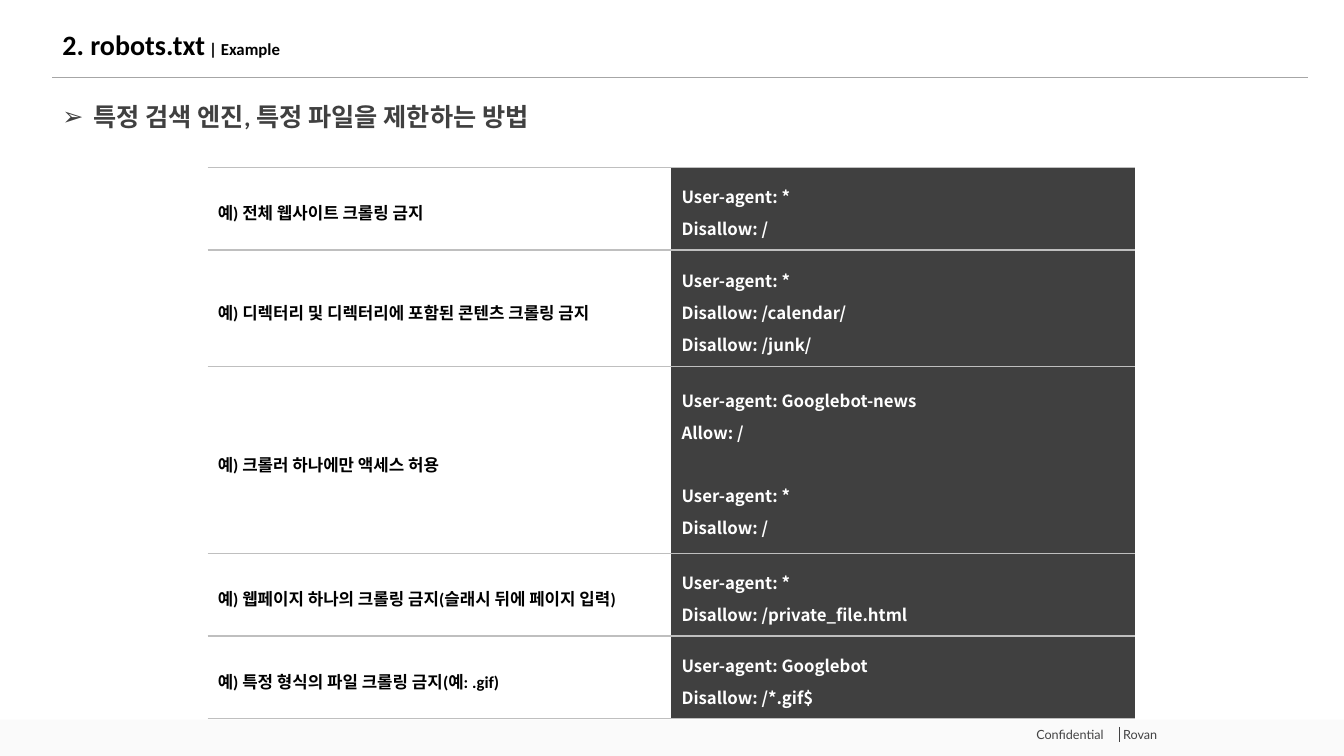
from dataclasses import dataclass
from typing import NamedTuple

from lxml.etree import SubElement
from pptx import Presentation
from pptx.dml.color import RGBColor
from pptx.enum.shapes import MSO_CONNECTOR, MSO_SHAPE
from pptx.enum.text import MSO_ANCHOR
from pptx.oxml.ns import qn
from pptx.util import Inches, Pt


@dataclass(frozen=True)
class Theme:
    black: str = "000000"
    white: str = "FFFFFF"
    dark: str = "404040"
    footer_text: str = "424243"
    footer_fill: str = "FAFAFA"
    header_rule: str = "A6A6A6"
    table_rule: str = "BFBFBF"
    title_size: int = 20
    heading_size: int = 18
    body_size: int = 12
    footer_size: int = 9
    main_font: str = "Calibri"
    code_font: str = "Noto Sans CJK KR"
    footer_font: str = "Lato"


class Rule(NamedTuple):
    start: tuple[float, float]
    end: tuple[float, float]
    color: str
    width: float


class Example(NamedTuple):
    label: str
    groups: list[list[str]]
    height: float


THEME = Theme()
GROUP_GAP = 22.7

RULES = [
    Rule((11.1, 7.21), (11.1, 7.36), THEME.footer_text, 0.5),
    Rule((0.52, 0.77), (12.97, 0.77), THEME.header_rule, 1),
]

EXAMPLES = [
    Example("예) 전체 웹사이트 크롤링 금지", [["User-agent: *", "Disallow: /"]], 0.82),
    Example(
        "예) 디렉터리 및 디렉터리에 포함된 콘텐츠 크롤링 금지",
        [["User-agent: *", "Disallow: /calendar/", "Disallow: /junk/"]],
        1.16,
    ),
    Example(
        "예) 크롤러 하나에만 액세스 허용",
        [["User-agent: Googlebot-news", "Allow: /"], ["User-agent: *", "Disallow: /"]],
        1.85,
    ),
    Example(
        "예) 웹페이지 하나의 크롤링 금지(슬래시 뒤에 페이지 입력)",
        [["User-agent: *", "Disallow: /private_file.html"]],
        0.82,
    ),
    Example(
        "예) 특정 형식의 파일 크롤링 금지(예: .gif)",
        [["User-agent: Googlebot", "Disallow: /*.gif$"]],
        0.82,
    ),
]


def write(paragraph, text: str, *, size: float, color: str, font: str = THEME.main_font,
          bold: bool = True, spacing: float = 1.0, before: float = 0) -> None:
    paragraph.line_spacing = spacing
    if before:
        paragraph.space_before = Pt(before)
    run = paragraph.add_run()
    run.text = text
    run.font.size = Pt(size)
    run.font.bold = bold
    run.font.name = font
    run.font.color.rgb = RGBColor.from_string(color)
    SubElement(run.font._element, qn("a:ea")).set("typeface", THEME.code_font)


def add_frame(slide, left: float, top: float, width: float, height: float,
              anchor: MSO_ANCHOR = MSO_ANCHOR.TOP):
    frame = slide.shapes.add_textbox(
        Inches(left), Inches(top), Inches(width), Inches(height)).text_frame
    frame.word_wrap = True
    frame.vertical_anchor = anchor
    return frame


def add_rule(slide, rule: Rule) -> None:
    connector = slide.shapes.add_connector(
        MSO_CONNECTOR.STRAIGHT, *(Inches(value) for value in rule.start + rule.end))
    connector.line.color.rgb = RGBColor.from_string(rule.color)
    connector.line.width = Pt(rule.width)
    SubElement(connector._element.spPr, qn("a:effectLst"))


def add_footer(slide) -> None:
    band = slide.shapes.add_shape(
        MSO_SHAPE.RECTANGLE, 0, Inches(7.14), Inches(13.33), Inches(0.36))
    band.shadow.inherit = False
    band.fill.solid()
    band.fill.fore_color.rgb = RGBColor.from_string(THEME.footer_fill)
    band.line.fill.background()
    for left, text in ((10.18, "Confidential"), (11.04, "Rovan")):
        write(add_frame(slide, left, 7.16, 0.95, 0.25).paragraphs[0], text,
              size=THEME.footer_size, color=THEME.footer_text,
              font=THEME.footer_font, bold=False)


def add_headings(slide) -> None:
    title = add_frame(slide, 0.52, 0.21, 12.44, 0.51, MSO_ANCHOR.MIDDLE).paragraphs[0]
    for text, size in (("2. robots.txt", THEME.title_size), (" | Example", THEME.body_size)):
        write(title, text, size=size, color=THEME.black, spacing=0.9)

    heading = add_frame(slide, 0.52, 0.87, 12.44, 0.6).paragraphs[0]
    properties = heading._p.get_or_add_pPr()
    properties.set("marL", str(Inches(0.31)))
    properties.set("indent", str(-Inches(0.31)))
    SubElement(properties, qn("a:buFont")).set("typeface", "Arial")
    SubElement(properties, qn("a:buChar")).set("char", "➢")
    write(heading, "특정 검색 엔진, 특정 파일을 제한하는 방법",
          size=THEME.heading_size, color=THEME.dark, spacing=1.3)


def style_cell(cell, fill: str, bottom_width: float) -> None:
    properties = cell._tc.get_or_add_tcPr()
    for side, width in (("L", 0), ("R", 0), ("T", 1), ("B", bottom_width)):
        border = SubElement(properties, qn(f"a:ln{side}"))
        border.set("w", str(Pt(width)))
        if width:
            paint = SubElement(border, qn("a:solidFill"))
            SubElement(paint, qn("a:srgbClr")).set("val", THEME.table_rule)
        else:
            SubElement(border, qn("a:noFill"))
    cell.fill.solid()
    cell.fill.fore_color.rgb = RGBColor.from_string(fill)
    cell.vertical_anchor = MSO_ANCHOR.MIDDLE


def fill_cell(cell, groups: list[list[str]], color: str, font: str) -> None:
    frame = cell.text_frame
    for group_index, group in enumerate(groups):
        for line_index, line in enumerate(group):
            first = group_index == line_index == 0
            paragraph = frame.paragraphs[0] if first else frame.add_paragraph()
            gap = GROUP_GAP if group_index and not line_index else 0
            write(paragraph, line, size=THEME.body_size, color=color,
                  font=font, spacing=1.3, before=gap)


def add_examples(slide, examples: list[Example]) -> None:
    table = slide.shapes.add_table(
        len(examples), 2, Inches(2.06), Inches(1.66), Inches(9.2),
        Inches(sum(example.height for example in examples))).table
    table.first_row = False
    table.horz_banding = False
    for column in table.columns:
        column.width = Inches(4.6)
    for index, example in enumerate(examples):
        table.rows[index].height = Inches(example.height)
        bottom_width = 0.5 if index == len(examples) - 1 else 1
        label_cell, code_cell = table.cell(index, 0), table.cell(index, 1)
        style_cell(label_cell, THEME.white, bottom_width)
        style_cell(code_cell, THEME.dark, bottom_width)
        fill_cell(label_cell, [[example.label]], THEME.black, THEME.main_font)
        fill_cell(code_cell, example.groups, THEME.white, THEME.code_font)


def main() -> None:
    presentation = Presentation()
    presentation.slide_width = Inches(13.33)
    presentation.slide_height = Inches(7.5)
    slide = presentation.slides.add_slide(presentation.slide_layouts[6])
    add_footer(slide)
    for rule in RULES:
        add_rule(slide, rule)
    add_headings(slide)
    add_examples(slide, EXAMPLES)
    presentation.save("out.pptx")


if __name__ == "__main__":
    main()
